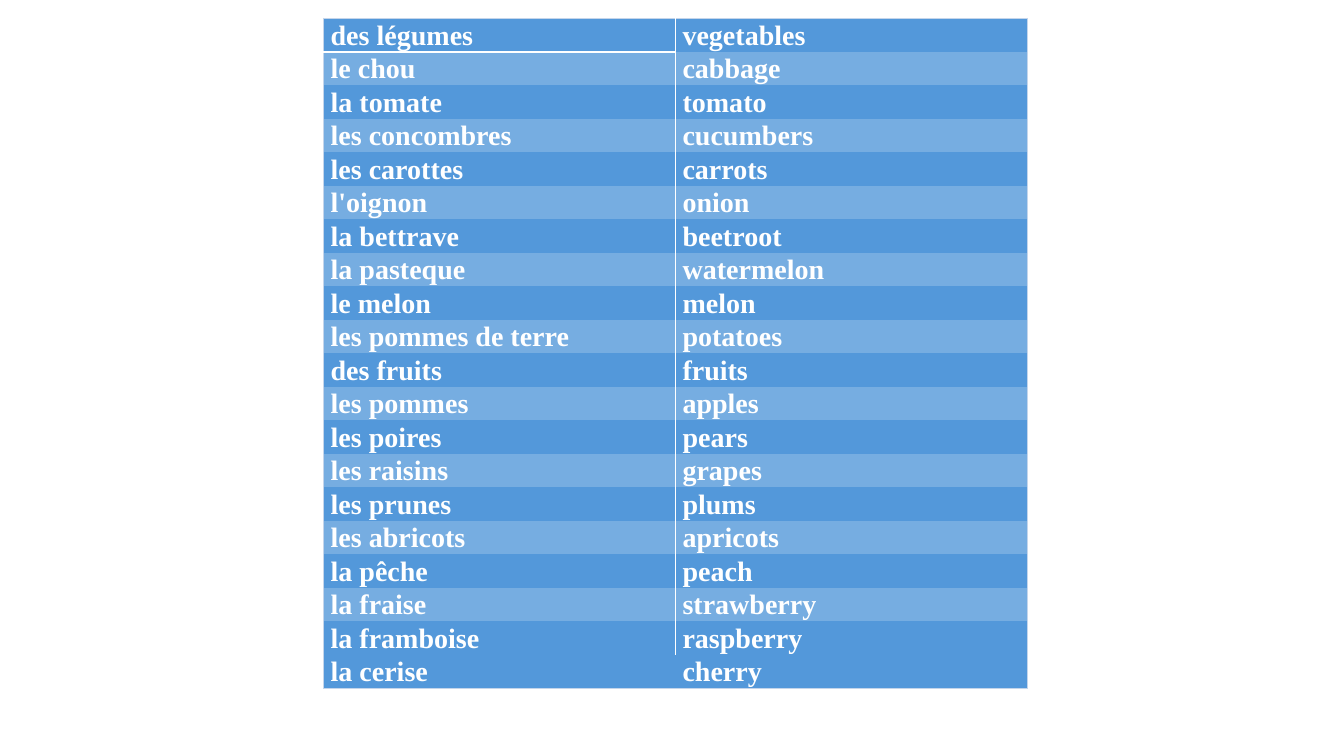
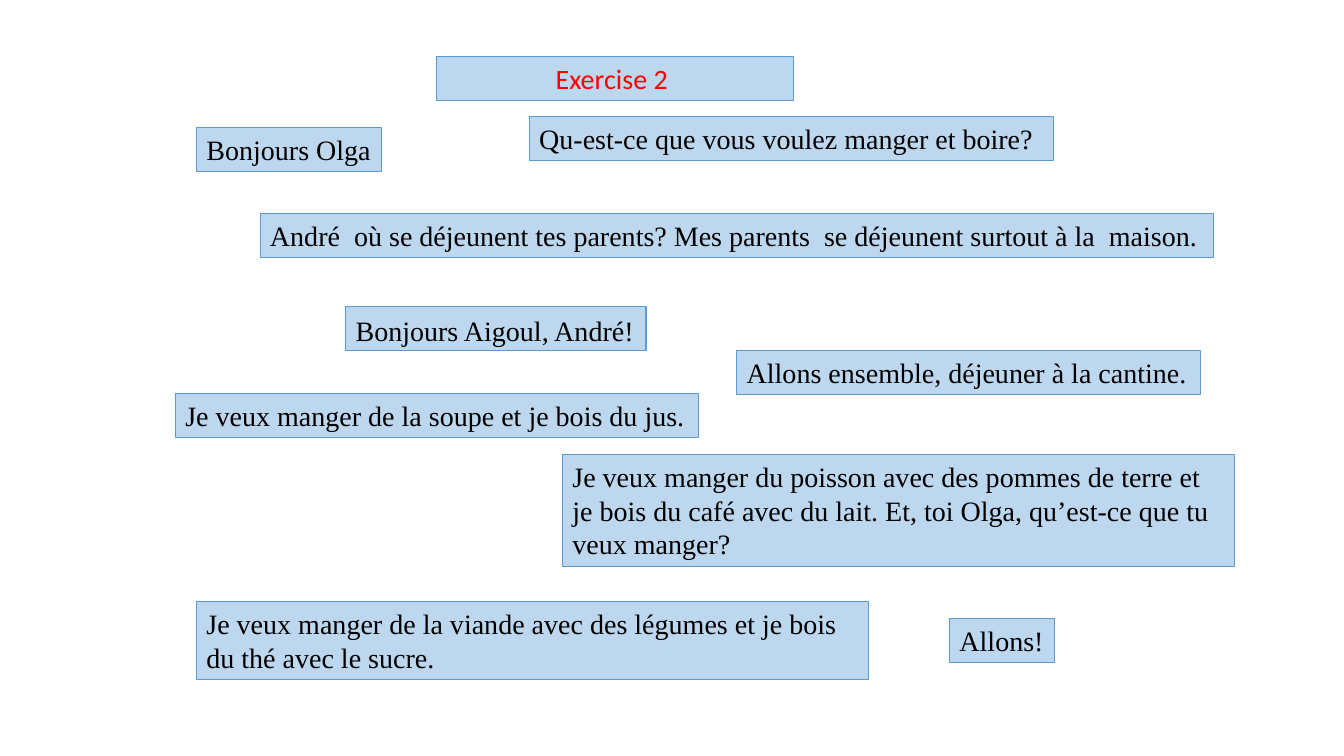
from pptx import Presentation, util as u
from pptx.dml.color import RGBColor
from pptx.enum import shapes, text
from pptx.oxml import parse_xml
from pptx.oxml.ns import nsdecls

WHITE = RGBColor(0xFF, 0xFF, 0xFF)
BLACK = RGBColor(0x00, 0x00, 0x00)
RED = RGBColor(0xFF, 0x00, 0x00)
BAND_DARK = RGBColor(0x53, 0x98, 0xDA)
BAND_LIGHT = RGBColor(0x76, 0xAD, 0xE1)
TABLE_EDGE = RGBColor(0xC4, 0xD5, 0xEB)
CARD_FILL = RGBColor(0xBD, 0xD7, 0xEE)
CARD_LINE = RGBColor(0x5B, 0x9B, 0xD5)

SERIF = "Times New Roman"
SANS = "Calibri"
WIDTH, HEIGHT = u.Inches(13.33), u.Inches(7.5)
PLAIN_TABLE = "{2D5ABB26-0587-4C30-8999-92F81FD0307C}"

WORDS = [
    ("des légumes", "vegetables"),
    ("le chou", "cabbage"),
    ("la tomate", "tomato"),
    ("les concombres", "cucumbers"),
    ("les carottes", "carrots"),
    ("l'oignon", "onion"),
    ("la bettrave", "beetroot"),
    ("la pasteque", "watermelon"),
    ("le melon", "melon"),
    ("les pommes de terre", "potatoes"),
    ("des fruits", "fruits"),
    ("les pommes", "apples"),
    ("les poires", "pears"),
    ("les raisins", "grapes"),
    ("les prunes", "plums"),
    ("les abricots", "apricots"),
    ("la pêche", "peach"),
    ("la fraise", "strawberry"),
    ("la framboise", "raspberry"),
    ("la cerise", "cherry"),
]

PHRASES = [
    (14.62, 16.93, 13.8, "Bonjours Olga", {}),
    (25.72, 40.53, 22.35, "Bonjours Aigoul, André!", {"spacing": 1.07}),
    (54.82, 46.4, 34.5, "Allons ensemble, déjeuner à la cantine.", {}),
    (70.65, 81.87, 7.8, "Allons!", {}),
    (39.38, 15.47, 39, "Qu-est-ce que vous voulez manger et boire?", {}),
    (14.62, 79.6, 50.02, "Je veux manger de la viande avec des légumes et je bois "
     "du thé avec le sucre.", {"lines": 2, "wrap": True}),
    (41.85, 60.13, 50.02, "Je veux manger du poisson avec des pommes de terre et "
     "je bois du café avec du lait. Et, toi Olga, qu’est-ce que tu veux manger?",
     {"lines": 3, "wrap": True}),
    (13.05, 52, 38.92, "Je veux manger de la soupe et je bois du jus.", {}),
    (19.35, 28.27, 70.95, "André  où se déjeunent tes parents? Mes parents  "
     "se déjeunent surtout à la  maison.", {}),
    (32.48, 7.47, 26.55, "Exercise 2 ",
     {"wrap": True, "font": SANS, "color": RED, "align": text.PP_ALIGN.CENTER}),
]


def across(percent):
    """Turn a percentage of the slide width into a length."""
    return round(WIDTH * percent / 100)


def down(percent):
    """Turn a percentage of the slide height into a length."""
    return round(HEIGHT * percent / 100)


def write(frame, words, font=SERIF, color=BLACK, bold=False, spacing=None,
          align=text.PP_ALIGN.LEFT):
    """Write one formatted paragraph into a text frame."""
    para = frame.paragraphs[0]
    para.alignment = align
    if spacing:
        para.line_spacing = spacing
    span = para.add_run()
    span.text = words
    span.font.name = font
    span.font.size = u.Pt(20)
    span.font.bold = bold
    span.font.color.rgb = color


def draw_border(cell, side, color, points):
    """Add a solid line to one side (L, R, T or B) of a cell."""
    cell._tc.get_or_add_tcPr().append(parse_xml(
        f'<a:ln{side} {nsdecls("a")} w="{u.Pt(points)}"><a:solidFill>'
        f'<a:srgbClr val="{color}"/></a:solidFill></a:ln{side}>'))


def border_cell(cell, row, column, last):
    """Draw the table edge, the centre rule and the heading rule."""
    edge, rule = (TABLE_EDGE, 0.5), (WHITE, 1)
    sides = {"L": edge if column == 0 else None, "R": edge if column == 1 else None}
    if row < last:
        sides["R" if column == 0 else "L"] = rule
    if row == 0:
        sides["T"] = edge
        if column == 0:
            sides["B"] = (WHITE, 1.5)
    if row == last:
        sides["B"] = edge
    for side, line in sides.items():
        if line:
            draw_border(cell, side, *line)


def add_word_table(page, left, top, width, height, words):
    """Place the banded two-language word table in the given box."""
    table = page.shapes.add_table(len(words), 2, left, top, width, height).table
    table._tbl.tblPr[0].text = PLAIN_TABLE
    last = len(words) - 1
    for row, pair in enumerate(words):
        table.rows[row].height = round(height / len(words))
        light = row % 2 == 1 and row < last
        for column, word in enumerate(pair):
            cell = table.cell(row, column)
            cell.margin_left = cell.margin_right = u.Inches(0.07)
            cell.margin_top = cell.margin_bottom = 0
            border_cell(cell, row, column, last)
            cell.fill.solid()
            cell.fill.fore_color.rgb = BAND_LIGHT if light else BAND_DARK
            write(cell.text_frame, word, color=WHITE, bold=True, spacing=1.07)


def add_card(page, left, top, width, words, lines=1, wrap=False, **style):
    """Place a phrase card whose height follows its number of lines."""
    box = page.shapes.add_shape(shapes.MSO_SHAPE.RECTANGLE, across(left), down(top),
                                across(width), down(1.33 + 4.49 * lines))
    box.shadow.inherit = False
    box.fill.solid()
    box.fill.fore_color.rgb = CARD_FILL
    box.line.color.rgb = CARD_LINE
    box.line.width = u.Pt(0.75)
    frame = box.text_frame
    frame.word_wrap = wrap
    frame.auto_size = text.MSO_AUTO_SIZE.SHAPE_TO_FIT_TEXT
    frame.vertical_anchor = text.MSO_ANCHOR.TOP
    write(frame, words, **style)


def main():
    """Build the word list and the exercise."""
    deck = Presentation()
    deck.slide_width, deck.slide_height = WIDTH, HEIGHT
    blank = deck.slide_layouts[6]
    add_word_table(deck.slides.add_slide(blank), across(24.08), down(2.4),
                   across(52.36), down(88.67), WORDS)
    exercise = deck.slides.add_slide(blank)
    for left, top, width, words, style in PHRASES:
        add_card(exercise, left, top, width, words, **style)
    deck.save("out.pptx")


if __name__ == "__main__":
    main()
